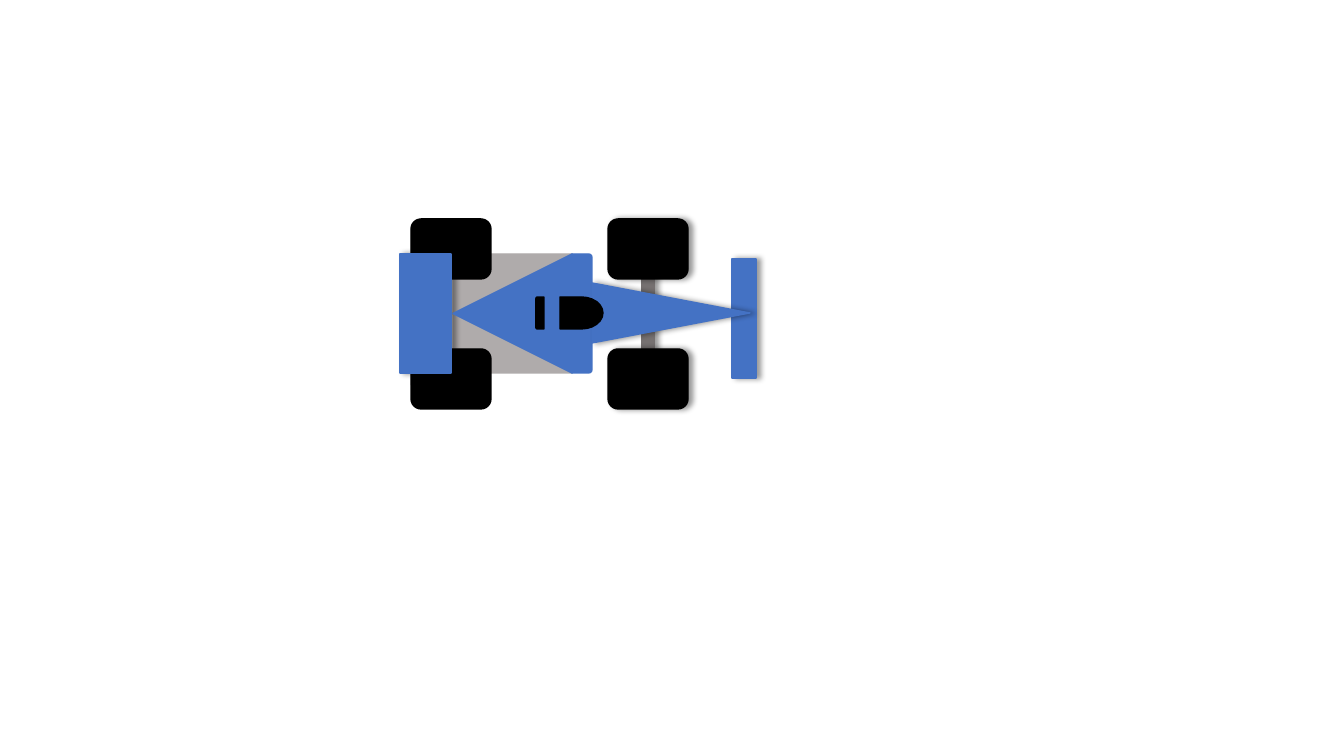
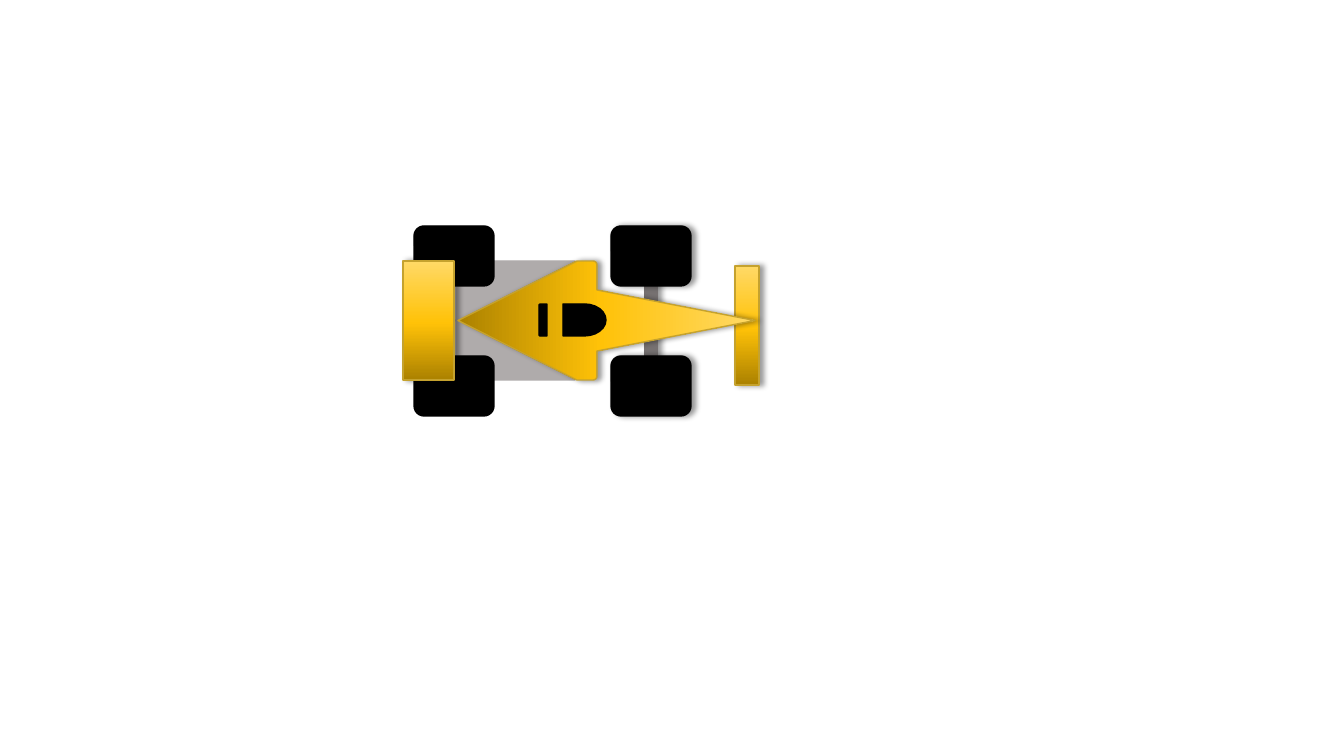
import copy
import dataclasses
import math

import lxml.etree
import pptx
import pptx.dml.color
import pptx.enum.shapes
import pptx.oxml.ns
import pptx.util

PIXEL = 914400 / 100.8
SHAPES = pptx.enum.shapes.MSO_SHAPE
qualified = pptx.oxml.ns.qn


@dataclasses.dataclass(frozen=True)
class Theme:
    black: str = "000000"
    axle: str = "767171"
    floor: str = "AFABAB"
    blue: str = "4472C4"
    gold: tuple = ((0, "AB8100"), (0.48, "FFC208"), (1, "FFD966"))
    gold_line: str = "C5A22E"
    line_width: int = 1
    shadow_blur: int = 4
    shadow_distance: int = 3
    shadow_opacity: int = 40000


theme = Theme()


def paint(shape, fill, line=None, angle=90, shadow=False):
    """Fill with one colour or a list of gradient stops, then outline and shadow."""
    if isinstance(fill, str):
        shape.fill.solid()
        shape.fill.fore_color.rgb = pptx.dml.color.RGBColor.from_string(fill)
    else:
        shape.fill.gradient()
        shape.fill.gradient_angle = angle
        stop_list = shape._element.spPr.find(".//" + qualified("a:gsLst"))
        while len(stop_list) < len(fill):
            stop_list.append(copy.deepcopy(stop_list[0]))
        for stop, (position, colour) in zip(shape.fill.gradient_stops, fill):
            stop.position = position
            stop.color.rgb = pptx.dml.color.RGBColor.from_string(colour)
    shape.line.color.rgb = pptx.dml.color.RGBColor.from_string(line or fill)
    shape.line.width = pptx.util.Pt(theme.line_width)
    shape.shadow.inherit = False
    if shadow:
        effects = shape._element.spPr.find(qualified("a:effectLst"))
        outer = lxml.etree.SubElement(
            effects, qualified("a:outerShdw"),
            blurRad=str(pptx.util.Pt(theme.shadow_blur)),
            dist=str(pptx.util.Pt(theme.shadow_distance)),
            dir="0", algn="l", rotWithShape="0")
        colour = lxml.etree.SubElement(outer, qualified("a:srgbClr"), val=theme.black)
        lxml.etree.SubElement(colour, qualified("a:alpha"), val=str(theme.shadow_opacity))


def add_part(car, kind, left, top, width, height, rotation=0, **style):
    """Add a shape by the box it covers on the slide once it is turned."""
    middle_x, middle_y = left + width / 2, top + height / 2
    if rotation in (90, 270):
        width, height = height, width
    box = (middle_x - width / 2, middle_y - height / 2, width, height)
    shape = car.shapes.add_shape(kind, *(round(value * PIXEL) for value in box))
    shape.rotation = rotation
    paint(shape, **style)
    return shape


presentation = pptx.Presentation()
presentation.slide_width = round(1344 * PIXEL)
presentation.slide_height = round(756 * PIXEL)

# Each car: horizontal and vertical position, wing colours, one-piece body or not
cars = [
    (400, 254, theme.blue, theme.blue, False),
    (403, 261, theme.gold, theme.gold_line, True),
]

for x, y, paintwork, outline, one_piece in cars:
    slide = presentation.slides.add_slide(presentation.slide_layouts[6])
    car = slide.shapes.add_group_shape()

    # Front axle and front wing
    add_part(car, SHAPES.RECTANGLE, x + 242, y, 12, 119, fill=theme.axle, shadow=True)
    add_part(car, SHAPES.RECTANGLE, x + 332, y + 5, 24, 119,
             fill=paintwork, line=outline, shadow=True)

    # Floor
    for top, rotation in ((y, 90), (y + 59, 0)):
        add_part(car, SHAPES.RIGHT_TRIANGLE, x + 53, top, 119, 60, rotation, fill=theme.floor)

    # Wheels
    for top in (y - 35, y + 95):
        for left, shadow in ((x + 11, False), (x + 208, True)):
            add_part(car, SHAPES.ROUNDED_RECTANGLE, left, top, 80, 60, 90,
                     fill=theme.black, shadow=shadow)

    # Rear wing
    add_part(car, SHAPES.RECTANGLE, x, y, 51, 119, fill=paintwork, line=outline, shadow=True)

    # Body
    if one_piece:
        radius = 4
        upper_corner = [
            (190 + radius * math.sin(math.radians(turn)),
             radius - radius * math.cos(math.radians(turn)))
            for turn in range(0, 91, 15)]
        upper_edge = [(174, 0), *upper_corner, (194, 29)]
        lower_edge = [(across, 119 - down) for across, down in reversed(upper_edge)]
        points = [(round((x + across) * PIXEL), round((y + down) * PIXEL))
                  for across, down in [(55, 59.5), *upper_edge, (352, 59.5), *lower_edge]]
        builder = car.shapes.build_freeform(*points[0])
        builder.add_line_segments(points[1:], close=True)
        paint(builder.convert_to_shape(), paintwork, outline, angle=0, shadow=True)
    else:
        add_part(car, SHAPES.ISOSCELES_TRIANGLE, x + 53, y, 119, 119, 270, fill=paintwork)
        add_part(car, SHAPES.ROUND_2_SAME_RECTANGLE, x + 172, y, 20, 119, 90, fill=paintwork)
        add_part(car, SHAPES.ISOSCELES_TRIANGLE, x + 192, y + 29, 158, 60, 90,
                 fill=paintwork, shadow=True)

    # Cockpit and headrest
    add_part(car, SHAPES.FLOWCHART_DELAY, x + 160, y + 43, 43, 32, fill=theme.black)
    add_part(car, SHAPES.ROUND_2_SAME_RECTANGLE, x + 136, y + 43, 8, 32, 270, fill=theme.black)

presentation.save("out.pptx")
